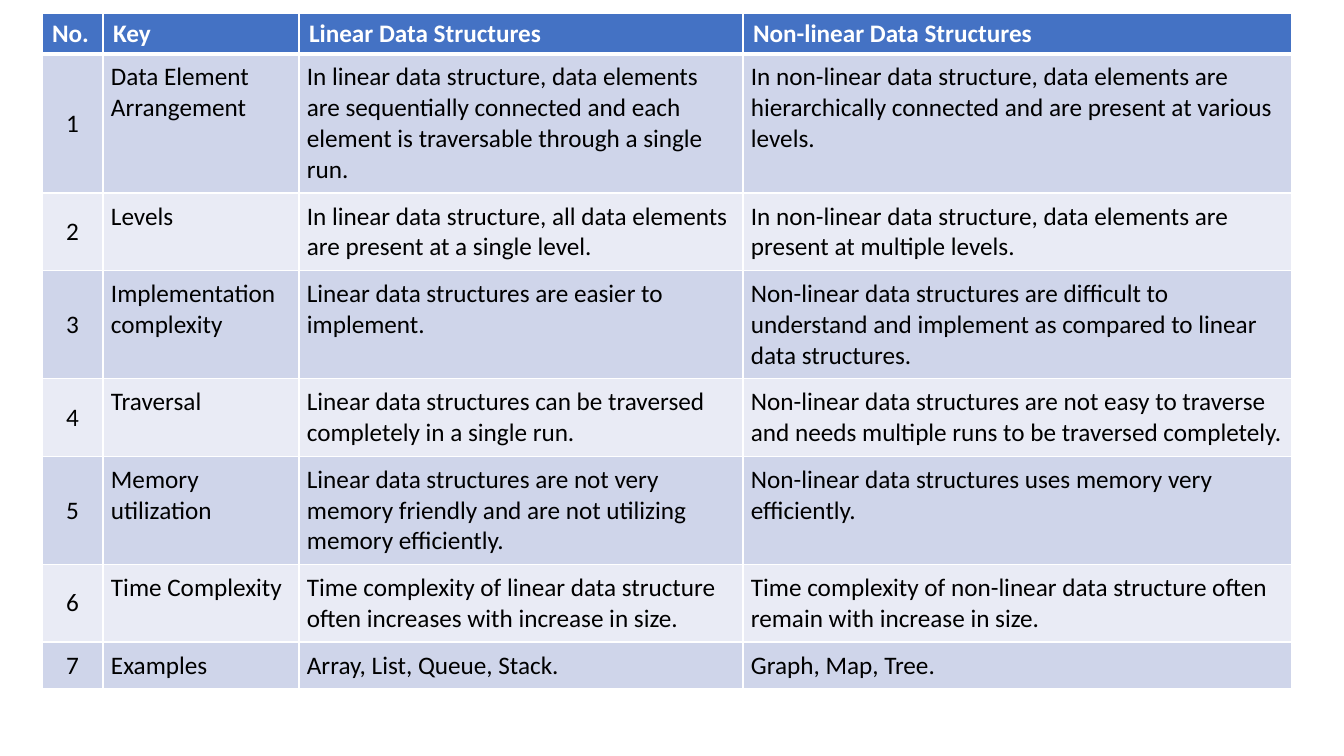
from lxml.etree import SubElement
from pptx import Presentation
from pptx.dml.color import RGBColor
from pptx.enum.text import MSO_ANCHOR, PP_ALIGN
from pptx.oxml.ns import qn
from pptx.util import Emu, Pt

EMU_PER_PX = 914400 / 100.8

WHITE = RGBColor(0xFF, 0xFF, 0xFF)
BLACK = RGBColor(0x00, 0x00, 0x00)
HEADER_BLUE = RGBColor(0x44, 0x72, 0xC4)
BAND_FILLS = (RGBColor(0xCF, 0xD5, 0xEA), RGBColor(0xE9, 0xEB, 0xF5))

TABLE_LEFT, TABLE_TOP, TABLE_HEIGHT = 42, 13, 703
COLUMN_WIDTHS = (61, 196, 444, 549)
MIN_ROW_HEIGHT = 41
CELL_MARGIN = 8

HEADINGS = ("No.", "Key", "Linear Data Structures", "Non-linear Data Structures")
COMPARISONS = (
    ("Data Element Arrangement",
     "In linear data structure, data elements are sequentially connected and each "
     "element is traversable through a single run.",
     "In non-linear data structure, data elements are hierarchically connected and "
     "are present at various levels."),
    ("Levels",
     "In linear data structure, all data elements are present at a single level.",
     "In non-linear data structure, data elements are present at multiple levels."),
    ("Implementation complexity",
     "Linear data structures are easier to implement.",
     "Non-linear data structures are difficult to understand and implement as "
     "compared to linear data structures."),
    ("Traversal",
     "Linear data structures can be traversed completely in a single run.",
     "Non-linear data structures are not easy to traverse and needs multiple runs "
     "to be traversed completely."),
    ("Memory utilization",
     "Linear data structures are not very memory friendly and are not utilizing "
     "memory efficiently.",
     "Non-linear data structures uses memory very efficiently."),
    ("Time Complexity",
     "Time complexity of linear data structure often increases with increase in size.",
     "Time complexity of non-linear data structure often remain with increase in size."),
    ("Examples", "Array, List, Queue, Stack.", "Graph, Map, Tree."),
)


def px(length):
    return Emu(round(length * EMU_PER_PX))


def set_borders(cell, bottom_width):
    """Draw white borders; call before filling, as the lines come first in the XML."""
    properties = cell._tc.get_or_add_tcPr()
    for side, width in (("L", 1), ("R", 1), ("T", 1), ("B", bottom_width)):
        line = SubElement(properties, qn(f"a:ln{side}"), w=str(Pt(width)))
        fill = SubElement(line, qn("a:solidFill"))
        SubElement(fill, qn("a:srgbClr"), val=str(WHITE))


def format_cell(cell, text, fill, color, bold=False, bottom_width=1):
    set_borders(cell, bottom_width)
    cell.fill.solid()
    cell.fill.fore_color.rgb = fill
    cell.text = text
    font = cell.text_frame.paragraphs[0].font
    font.name = "Calibri"
    font.size = Pt(18)
    font.bold = bold
    font.color.rgb = color


def set_margins(cell):
    cell.margin_left = cell.margin_right = px(CELL_MARGIN)
    cell.margin_top = cell.margin_bottom = px(CELL_MARGIN)


def center_number(cell):
    cell.vertical_anchor = MSO_ANCHOR.MIDDLE
    cell.text_frame.paragraphs[0].alignment = PP_ALIGN.CENTER


def add_comparison_table(slide):
    frame = slide.shapes.add_table(
        len(COMPARISONS) + 1, len(HEADINGS), px(TABLE_LEFT), px(TABLE_TOP),
        px(sum(COLUMN_WIDTHS)), px(TABLE_HEIGHT))
    table = frame.table
    for column, width in zip(table.columns, COLUMN_WIDTHS):
        column.width = px(width)
    for row in table.rows:
        row.height = px(MIN_ROW_HEIGHT)
    frame.height = px(TABLE_HEIGHT)

    for cell, heading in zip(table.rows[0].cells, HEADINGS):
        format_cell(cell, heading, HEADER_BLUE, WHITE, bold=True, bottom_width=3)
    for number, comparison in enumerate(COMPARISONS, start=1):
        fill = BAND_FILLS[(number - 1) % 2]
        for column, text in enumerate((str(number), *comparison)):
            cell = table.cell(number, column)
            # The first body row shares its top edge with the header.
            format_cell(cell, text, fill, BLACK)
            set_margins(cell)
            if number == 1:
                cell._tc.tcPr.find(qn("a:lnT")).set("w", str(Pt(3)))
        center_number(table.cell(number, 0))


def main():
    presentation = Presentation()
    presentation.slide_width = px(1344)
    presentation.slide_height = px(756)
    slide = presentation.slides.add_slide(presentation.slide_layouts[6])
    add_comparison_table(slide)
    presentation.save("out.pptx")


if __name__ == "__main__":
    main()
